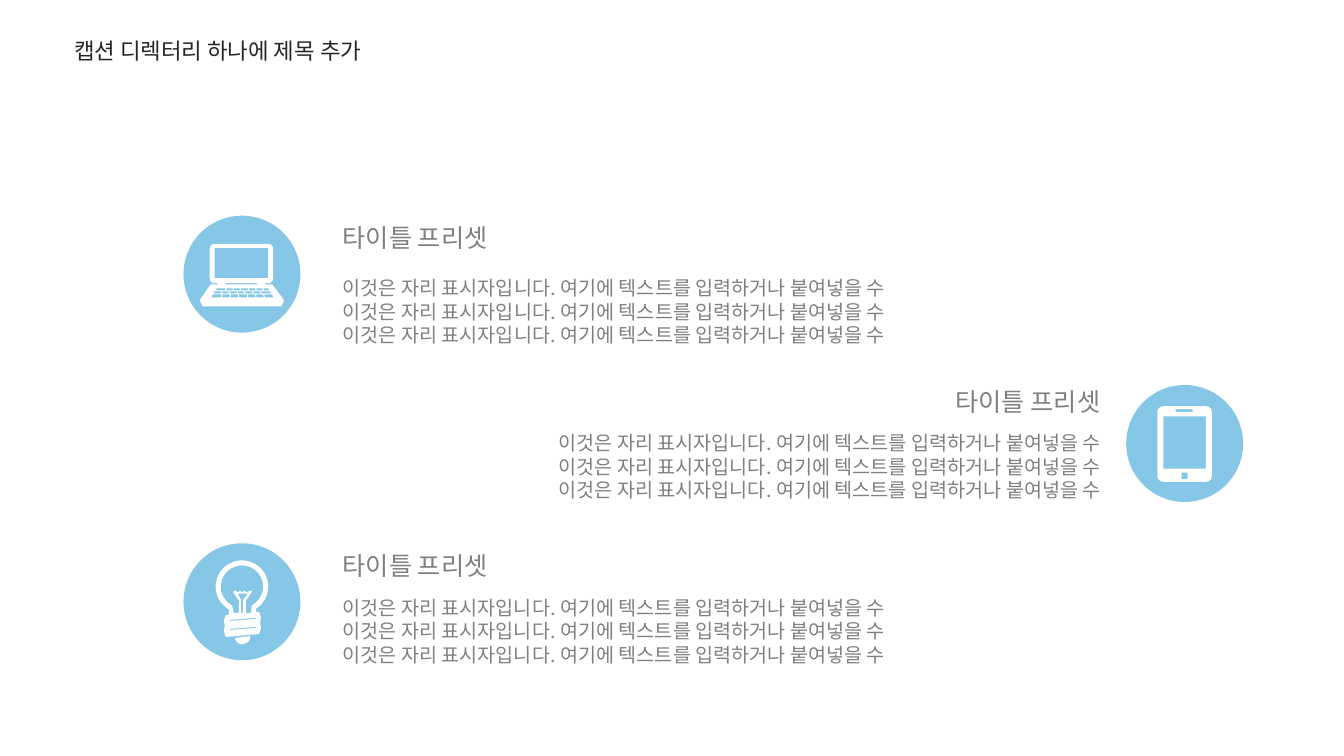
from math import cos, radians, sin

from lxml import etree
from pptx import Presentation
from pptx.dml.color import RGBColor
from pptx.enum.shapes import MSO_SHAPE as SHAPE
from pptx.enum.text import PP_ALIGN as ALIGN
from pptx.oxml.ns import qn
from pptx.util import Inches, Pt

FONT = "Noto Sans CJK KR"
COLORS = {"disc": "86C6E6", "icon": "FFFFFF", "heading": "262626", "text": "808080"}

HEADING = "캡션 디렉터리 하나에 제목 추가"
TITLE = "타이틀 프리셋"
BODY = ["이것은 자리 표시자입니다. 여기에 텍스트를 입력하거나 붙여넣을 수"] * 3

DISC = 1.16
# disc left and top, title left and top, body left, top and width, alignment
ITEMS = [
    ((1.82, 2.14), (3.3, 2.16), (3.3, 2.69, 9.22), ALIGN.LEFT),
    ((11.17, 3.82), (9.32, 3.78), (1.8, 4.23, 9.22), ALIGN.RIGHT),
    ((1.82, 5.39), (3.3, 5.41), (3.3, 5.86, 8.27), ALIGN.LEFT),
]

# keyboard rows: top, bottom, then the left edge of each key and the row's end
KEY_ROWS = [
    (2.86, 2.88, [2.15, 2.25, 2.32, 2.39, 2.47, 2.54, 2.61, 2.67]),
    (2.89, 2.91, [2.13, 2.21, 2.28, 2.36, 2.43, 2.51, 2.59, 2.69]),
    (2.92, 2.95, [2.11, 2.21, 2.29, 2.37, 2.46, 2.54, 2.62, 2.71]),
]
KEY_GAP = 0.01
KEY_SPREAD = 1.04
LAPTOP_X = 2.4

BULB_CENTER = (2.4, 5.82)
BULB_SCREW = [
    (2.27, 6.05), (2.27, 6.1), (2.24, 6.1), (2.22, 6.16), (2.23, 6.21),
    (2.22, 6.26), (2.24, 6.32), (2.57, 6.29), (2.59, 6.23), (2.58, 6.18),
    (2.59, 6.13), (2.57, 6.07), (2.54, 6.07),
]
BULB_FILAMENT = [
    (2.32, 6.08), (2.37, 6.08), (2.37, 5.96), (2.31, 5.87), (2.34, 5.86),
    (2.36, 5.88), (2.38, 5.86), (2.4, 5.88), (2.42, 5.86), (2.45, 5.88),
    (2.48, 5.86), (2.5, 5.87), (2.44, 5.96), (2.44, 6.08), (2.49, 6.08),
]
BULB_STEM = [
    (2.36, 5.89), (2.39, 5.95), (2.39, 6.08), (2.41, 6.08), (2.41, 5.95),
    (2.46, 5.89), (2.43, 5.89), (2.4, 5.89), (2.38, 5.89),
]
BULB_GROOVES = [
    [(2.28, y + 0.02), (2.28, y + 0.03), (2.54, y + 0.01), (2.54, y)]
    for y in (6.13, 6.22)
]
BULB_TIP = [(2.48, 6.31), (2.33, 6.33), (2.35, 6.37), (2.38, 6.39),
            (2.42, 6.39), (2.46, 6.37), (2.48, 6.34)]


def arc(center, radius, start, end, steps):
    """Points along a circle, angles in degrees measured clockwise from the right."""
    angles = [radians(start + (end - start) * i / steps) for i in range(steps + 1)]
    return [(center[0] + radius * cos(a), center[1] + radius * sin(a)) for a in angles]


def box(left, top, right, bottom, radius=0):
    if not radius:
        return [(left, top), (right, top), (right, bottom), (left, bottom)]
    corners = [(left + radius, top + radius, 180), (right - radius, top + radius, 270),
               (right - radius, bottom - radius, 0), (left + radius, bottom - radius, 90)]
    return [pt for x, y, a in corners for pt in arc((x, y), radius, a, a + 90, 6)]


def laptop():
    def spread(x):
        return LAPTOP_X + (x - LAPTOP_X) * KEY_SPREAD

    screen = box(2.08, 2.42, 2.71, 2.81, 0.05)
    base = [(2.09, 2.82), (2.16, 2.82), (2.16, 2.81), (2.24, 2.81), (2.24, 2.82),
            (2.55, 2.82), (2.55, 2.81), (2.63, 2.81), (2.63, 2.82), (2.7, 2.82),
            (2.82, 2.98), (2.79, 3.04), (2.01, 3.04), (1.98, 2.98)]
    keys = [
        [(x, top), (end - KEY_GAP, top), (spread(end - KEY_GAP), bottom), (spread(x), bottom)]
        for top, bottom, edges in KEY_ROWS
        for x, end in zip(edges, edges[1:])
    ]
    return [screen, box(2.13, 2.46, 2.66, 2.76), base] + keys


def phone():
    return [box(11.48, 4.03, 12.02, 4.78, 0.06), box(11.54, 4.13, 11.96, 4.65),
            box(11.66, 4.06, 11.83, 4.09), box(11.72, 4.69, 11.78, 4.75)]


def bulb():
    outer = arc(BULB_CENTER, 0.26, 58, -238, 48) + BULB_SCREW
    inner = arc(BULB_CENTER, 0.21, 62, -242, 48) + BULB_FILAMENT
    return [outer, inner, BULB_STEM, BULB_TIP] + BULB_GROOVES


def paint(sp, color):
    sp.shadow.inherit = False
    sp.fill.solid()
    sp.fill.fore_color.rgb = RGBColor.from_string(COLORS[color])
    sp.line.fill.background()


def add_icon(slide, contours):
    """Draw all contours as one shape, so inner ones become holes."""
    builder = None
    for contour in contours:
        points = [(Inches(x), Inches(y)) for x, y in contour]
        if builder is None:
            builder = slide.shapes.build_freeform(*points[0])
        else:
            builder.move_to(*points[0])
        builder.add_line_segments(points[1:], close=True)
    paint(builder.convert_to_shape(), "icon")


def add_text(slide, place, lines, size, color, align, wrap=True):
    tf = slide.shapes.add_textbox(*map(Inches, place)).text_frame
    tf.word_wrap = wrap
    for i, line in enumerate(lines):
        p = tf.paragraphs[0] if i == 0 else tf.add_paragraph()
        p.alignment = align
        r = p.add_run()
        r.text = line
        r.font.size = Pt(size)
        r.font.color.rgb = RGBColor.from_string(COLORS[color])
        r.font.name = FONT
        etree.SubElement(r.font._element, qn("a:ea"), typeface=FONT)


def main():
    prs = Presentation()
    prs.slide_width, prs.slide_height = Inches(13.33), Inches(7.5)
    slide = prs.slides.add_slide(prs.slide_layouts[6])

    add_text(slide, (0.06, 0.32, 4.2, 0.37), [HEADING], 16, "heading", ALIGN.CENTER)
    for (disc, title, body, align), icon in zip(ITEMS, (laptop, phone, bulb)):
        size = (DISC, DISC)
        paint(slide.shapes.add_shape(SHAPE.OVAL, *map(Inches, disc + size)), "disc")
        add_icon(slide, icon())
        add_text(slide, title + (1.69, 0.4), [TITLE], 18, "text", align, wrap=False)
        add_text(slide, body + (0.8,), BODY, 14, "text", align)

    prs.save("out.pptx")


if __name__ == "__main__":
    main()
